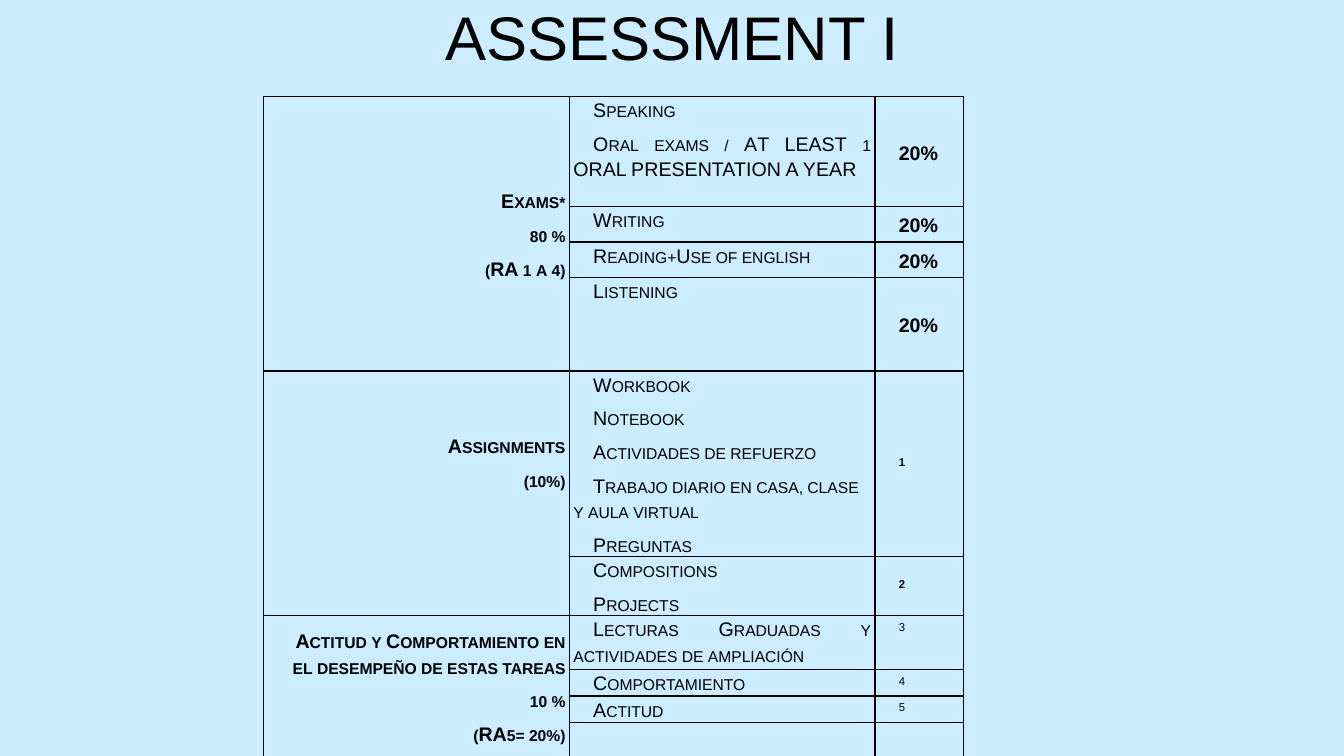
from dataclasses import dataclass

from lxml import etree
from pptx import Presentation
from pptx import util as u
from pptx.dml.color import RGBColor
from pptx.enum import text
from pptx.oxml import ns


@dataclass(frozen=True)
class Theme:
    font: str = "Arial"
    ink: RGBColor = RGBColor(0x00, 0x00, 0x00)
    sky: RGBColor = RGBColor(0xCC, 0xEC, 0xFF)
    title: u.Pt = u.Pt(44)
    body: u.Pt = u.Pt(14)
    blank: u.Pt = u.Pt(8)
    rule: u.Pt = u.Pt(1)


THEME = Theme()
NO_GRID = "{2D5ABB26-0587-4C30-8999-92F81FD0307C}"
SMALL = {"cap": "small"}
RAISED = {"baseline": "30000"}
RIGHT = text.PP_ALIGN.RIGHT
LEFT = text.PP_ALIGN.LEFT
JUSTIFY = text.PP_ALIGN.JUSTIFY

COLUMNS = [7.7, 7.7, 2.24, 1.8]
ROWS = [2.77, 0.89, 0.9, 2.35, 4.66, 1.49, 1.36, 0.66, 0.66, 0.89]

GROUPS = [
    (0, 3, "LRTB", 0, ["Exams*", "80 %", "(RA 1 a 4)"]),
    (4, 5, "LRT", 1.6, ["Assignments", "(10%)"]),
    (6, 9, "LRB", 0, ["Actitud y Comportamiento en el desempeño de estas tareas",
                      "10 %", "(RA5= 20%)"]),
]

TASKS = [
    ["Speaking", [("Oral exams / ", SMALL), ("A", {}),
                  ("T LEAST 1 ORAL PRESENTATION A YEAR", SMALL)]],
    ["Writing"],
    ["Reading+Use of english"],
    ["Listening"],
    ["Workbook", "Notebook", "Actividades de refuerzo",
     "Trabajo diario en casa, clase y aula virtual", "Preguntas"],
    ["Compositions", "Projects"],
    ["Lecturas Graduadas y actividades de ampliación"],
    ["Comportamiento"],
    ["Actitud"],
]
LEFT_ALIGNED_ROW = 4

WEIGHTS = ["20%"] * 4
NOTES = ["1", "2", "3", "4", "5"]
BOLD_ROWS = 6


def add_run(p, words, size, bold=False, marks=None):
    r = p.add_run()
    r.text = words
    r.font.name = THEME.font
    r.font.size = size
    r.font.bold = bold
    r.font.color.rgb = THEME.ink
    for name, value in (marks or {}).items():
        r._r.get_or_add_rPr().set(name, value)


def add_title(s, words):
    sp = s.shapes.title
    sp.left, sp.top, sp.width, sp.height = u.Cm(2.34), u.Cm(-0.81), u.Cm(29.21), u.Cm(3.68)
    tf = sp.text_frame
    tf.vertical_anchor = text.MSO_ANCHOR.MIDDLE
    p = tf.paragraphs[0]
    p.alignment = text.PP_ALIGN.CENTER
    p.line_spacing = 0.9
    add_run(p, words, THEME.title)


def add_grid(s):
    frame = s.shapes.add_table(len(ROWS), len(COLUMNS), u.Cm(6.65), u.Cm(2.44),
                               u.Cm(sum(COLUMNS)), u.Cm(sum(ROWS)))
    table = frame.table
    table.first_row = table.horz_banding = False
    table._tbl.tblPr.find(ns.qn("a:tableStyleId")).text = NO_GRID
    for column, width in zip(table.columns, COLUMNS):
        column.width = u.Cm(width)
    for row, height in zip(table.rows, ROWS):
        row.height = u.Cm(height)
    return table


def rule_cell(cell, sides):
    tc_pr = cell._tc.get_or_add_tcPr()
    for side in sides:
        line = etree.SubElement(tc_pr, ns.qn(f"a:ln{side}"), w=str(THEME.rule))
        fill = etree.SubElement(line, ns.qn("a:solidFill"))
        etree.SubElement(fill, ns.qn("a:srgbClr"), val=str(THEME.ink))
    cell.fill.background()
    cell.margin_left = cell.margin_right = u.Cm(0.1)
    cell.margin_top = cell.margin_bottom = 0


def fill_cell(cell, paragraphs, align, bold=False, marks=SMALL, middle=False):
    tf = cell.text_frame
    if middle:
        cell.vertical_anchor = text.MSO_ANCHOR.MIDDLE
    for i, content in enumerate(paragraphs):
        p = tf.add_paragraph() if i else tf.paragraphs[0]
        p.alignment = align
        p.line_spacing = 1.15
        p.space_before = p.space_after = u.Pt(3)
        p._p.get_or_add_pPr().set("indent", str(u.Cm(0.5)))
        runs = [(content, marks)] if isinstance(content, str) else content
        for words, run_marks in runs:
            add_run(p, words, THEME.body, bold, run_marks)


def shrink_blank(cell):
    if not cell.text_frame.text:
        p = cell.text_frame.paragraphs[0]
        etree.SubElement(p._p, ns.qn("a:endParaRPr"), sz=str(int(THEME.blank.pt * 100)))


def add_groups(table):
    for first, last, sides, bottom, lines in GROUPS:
        for row in range(first, last + 1):
            closing = "B" if row == last and "B" in sides else ""
            rule_cell(table.cell(row, 0), sides if row == first else "LR" + closing)
        cell = table.cell(first, 0)
        cell.merge(table.cell(last, 0))
        cell.margin_bottom = u.Cm(bottom)
        fill_cell(cell, lines, RIGHT, bold=True, middle=True)


def add_marks(table):
    for row in range(len(ROWS)):
        for column in (1, 2):
            rule_cell(table.cell(row, column), "LRTB")
        rule_cell(table.cell(row, 3), "L")
    for row, lines in enumerate(TASKS):
        fill_cell(table.cell(row, 1), lines, LEFT if row == LEFT_ALIGNED_ROW else JUSTIFY)
    for row, words in enumerate(WEIGHTS + NOTES):
        strong = row < BOLD_ROWS
        fill_cell(table.cell(row, 2), [words], LEFT if strong else JUSTIFY, bold=strong,
                  marks={} if row < len(WEIGHTS) else RAISED, middle=strong)


def main():
    prs = Presentation()
    prs.slide_width, prs.slide_height = u.Cm(33.87), u.Cm(19.05)
    s = prs.slides.add_slide(prs.slide_layouts[5])
    s.background.fill.solid()
    s.background.fill.fore_color.rgb = THEME.sky
    add_title(s, "ASSESSMENT I")
    table = add_grid(s)
    add_groups(table)
    add_marks(table)
    for cell in table.iter_cells():
        shrink_blank(cell)
    prs.save("out.pptx")


if __name__ == "__main__":
    main()
